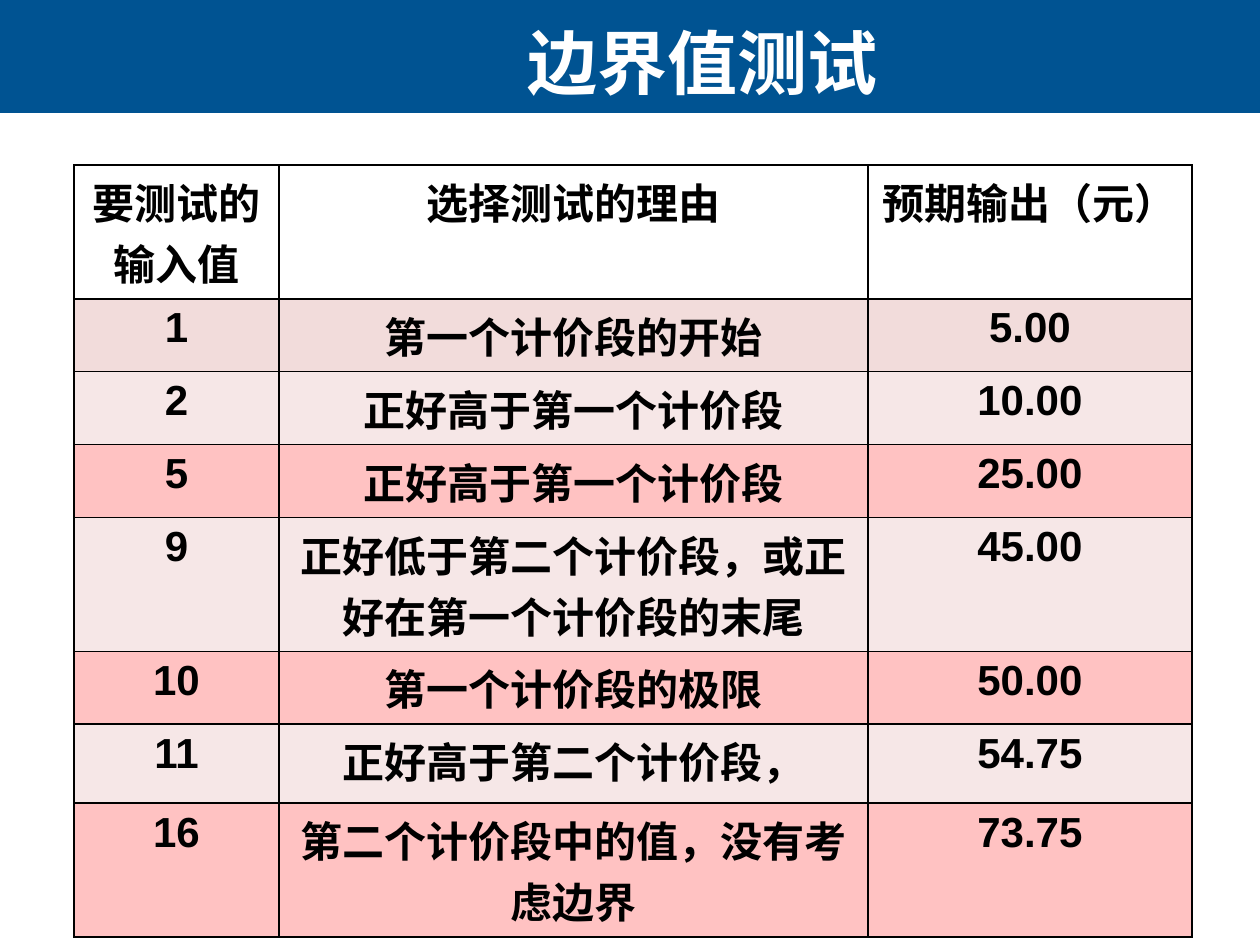
from lxml import etree
from pptx import Presentation
from pptx.dml.color import RGBColor
from pptx.enum.shapes import MSO_SHAPE
from pptx.enum.text import MSO_ANCHOR, MSO_AUTO_SIZE, PP_ALIGN
from pptx.oxml import parse_xml
from pptx.oxml.ns import nsdecls, qn
from pptx.util import Pt

PX = 914400 // 126
COLORS = {
    "band": "005392",
    "white": "FFFFFF",
    "black": "000000",
    "rose": "F2DCDB",
    "pale": "F6E7E7",
    "pink": "FFC2C2",
}
COL_WIDTHS = [205, 589, 324]
ROWS = [
    (113, None, "要测试的输入值", "选择测试的理由", "预期输出（元）"),
    (63, "rose", "1", "第一个计价段的开始", "5.00"),
    (69, "pale", "2", "正好高于第一个计价段", "10.00"),
    (73, "pink", "5", "正好高于第一个计价段", "25.00"),
    (113, "pale", "9", "正好低于第二个计价段，或正好在第一个计价段的末尾", "45.00"),
    (63, "pink", "10", "第一个计价段的极限", "50.00"),
    (79, "pale", "11", "正好高于第二个计价段，", "54.75"),
    (113, "pink", "16", "第二个计价段中的值，没有考虑边界", "73.75"),
]


def rgb(name):
    return RGBColor.from_string(COLORS[name])


def format_text(tf, size, font, color):
    p = tf.paragraphs[0]
    p.alignment = PP_ALIGN.CENTER
    r = p.runs[0]
    r.font.size = Pt(size)
    r.font.bold = True
    r.font.name = font
    r.font.color.rgb = rgb(color)
    ea = etree.SubElement(r.font._element, qn("a:ea"))
    ea.set("typeface", "Noto Sans CJK SC")


prs = Presentation()
prs.slide_width = 1260 * PX
prs.slide_height = 945 * PX
s = prs.slides.add_slide(prs.slide_layouts[5])

band = s.shapes.add_shape(MSO_SHAPE.RECTANGLE, 0, 0, 1260 * PX, 113 * PX)
band.shadow.inherit = False
band.fill.solid()
band.fill.fore_color.rgb = rgb("band")
band.line.fill.background()
s.shapes._spTree.insert(2, band._element)

title = s.shapes.title
title.left, title.top, title.width, title.height = [v * PX for v in (123, 26, 1081, 78)]
tf = title.text_frame
tf.text = "边界值测试"
tf.auto_size = MSO_AUTO_SIZE.NONE
tf.vertical_anchor = MSO_ANCHOR.BOTTOM
tf.margin_left = 91 * PX
tf.margin_bottom = 0
format_text(tf, 40, "Noto Sans CJK SC", "white")

table = s.shapes.add_table(
    len(ROWS), len(COL_WIDTHS), 74 * PX, 165 * PX,
    sum(COL_WIDTHS) * PX, sum(row[0] for row in ROWS) * PX,
).table
table.first_row = False
table.horz_banding = False
for col, width in zip(table.columns, COL_WIDTHS):
    col.width = width * PX

for row, (height, fill, *texts) in zip(table.rows, ROWS):
    row.height = height * PX
    for cell, text in zip(row.cells, texts):
        cell.margin_left = cell.margin_right = 9 * PX
        cell.margin_top = cell.margin_bottom = 6 * PX
        cell.text_frame.text = text
        format_text(cell.text_frame, 24, "Arial", "black")
        if fill:
            cell.fill.solid()
            cell.fill.fore_color.rgb = rgb(fill)
        else:
            cell.fill.background()
        tcPr = cell._tc.get_or_add_tcPr()
        for i, side in enumerate(("lnL", "lnR", "lnT", "lnB")):
            tcPr.insert(i, parse_xml(
                f'<a:{side} {nsdecls("a")} w="{Pt(1)}"><a:solidFill>'
                f'<a:srgbClr val="{COLORS["black"]}"/></a:solidFill></a:{side}>'
            ))

prs.save("out.pptx")
